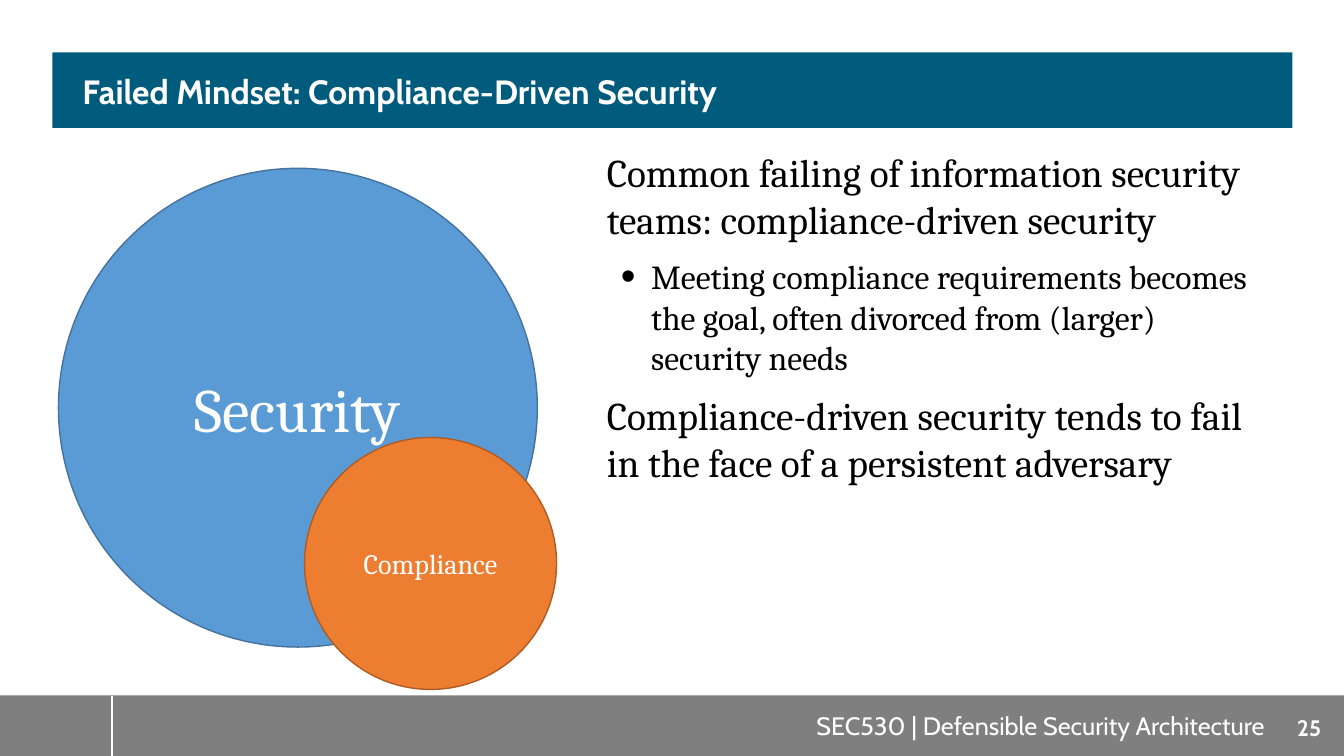
from dataclasses import dataclass

from lxml.etree import SubElement
from pptx import Presentation
from pptx.dml.color import RGBColor
from pptx.enum.shapes import MSO_CONNECTOR, MSO_SHAPE
from pptx.enum.text import MSO_ANCHOR, PP_ALIGN
from pptx.oxml.ns import qn
from pptx.util import Inches, Pt


@dataclass(frozen=True)
class Theme:
    heading_font: str = "Cabin"
    body_font: str = "Cambria"
    white: str = "FFFFFF"
    black: str = "000000"
    teal: str = "005B7D"
    grey: str = "7F7F7F"
    blue: str = "5B9BD5"
    blue_edge: str = "43739E"
    orange: str = "ED7D31"
    orange_edge: str = "AF5C24"
    title_size: int = 24
    statement_size: int = 28
    detail_size: int = 24
    security_size: int = 44
    compliance_size: int = 20
    course_size: int = 18
    number_size: int = 16


class SlideBuilder:
    """Places elements by percentages of the slide's width and height."""

    def __init__(self, deck, theme):
        self.theme = theme
        self.width, self.height = deck.slide_width, deck.slide_height
        self.slide = deck.slides.add_slide(deck.slide_layouts[6])

    def x(self, share):
        return round(self.width * share / 100)

    def y(self, share):
        return round(self.height * share / 100)

    def box(self, left, top, width, height):
        return self.x(left), self.y(top), self.x(width), self.y(height)

    def add_wording(self, paragraph, wording, size, font, color, bold=False):
        run = paragraph.add_run()
        run.text = wording
        run.font.name, run.font.size, run.font.bold = font, Pt(size), bold
        run.font.color.rgb = RGBColor.from_string(color)

    def paint(self, shape, fill):
        shape.shadow.inherit = False
        shape.fill.solid()
        shape.fill.fore_color.rgb = RGBColor.from_string(fill)

    def band(self, place, fill):
        band = self.slide.shapes.add_shape(MSO_SHAPE.RECTANGLE, *self.box(*place))
        self.paint(band, fill)
        band.line.fill.background()

    def divider(self, x, top, bottom):
        divider = self.slide.shapes.add_connector(
            MSO_CONNECTOR.STRAIGHT, self.x(x), self.y(top), self.x(x), self.y(bottom))
        divider.line.color.rgb = RGBColor.from_string(self.theme.white)
        divider.line.width = Pt(2)
        SubElement(divider.element.spPr, qn("a:effectLst"))

    def circle(self, left, top, diameter, fill, edge, wording, size):
        """Draw a labelled circle whose diameter is a share of the slide's height."""
        circle = self.slide.shapes.add_shape(
            MSO_SHAPE.OVAL, self.x(left), self.y(top), self.y(diameter), self.y(diameter))
        self.paint(circle, fill)
        circle.line.color.rgb = RGBColor.from_string(edge)
        circle.line.width = Pt(1)
        circle.text_frame.vertical_anchor = MSO_ANCHOR.MIDDLE
        label = circle.text_frame.paragraphs[0]
        label.alignment = PP_ALIGN.CENTER
        self.add_wording(label, wording, size, self.theme.body_font, self.theme.white)

    def text_frame(self, place, anchor=MSO_ANCHOR.TOP):
        frame = self.slide.shapes.add_textbox(*self.box(*place)).text_frame
        frame.word_wrap = True
        frame.vertical_anchor = anchor
        return frame

    def heading(self, place, wording, size, align=PP_ALIGN.LEFT,
                anchor=MSO_ANCHOR.MIDDLE, bold=True):
        frame = self.text_frame(place, anchor)
        line = frame.paragraphs[0]
        line.alignment = align
        self.add_wording(line, wording, size, self.theme.heading_font, self.theme.white, bold)
        return frame

    def title(self, place, wording):
        frame = self.heading(place, wording, self.theme.title_size)
        frame.margin_top, frame.margin_bottom = Inches(0.07), 0
        frame.paragraphs[0].line_spacing = 0.9

    def bullet(self, paragraph):
        paragraph.level = 1
        properties = paragraph._p.get_or_add_pPr()
        properties.set("marL", str(Inches(0.44)))
        properties.set("indent", str(Inches(-0.3)))
        SubElement(properties, qn("a:buSzPct"), val="125000")
        SubElement(properties, qn("a:buFont"), typeface="Arial")
        SubElement(properties, qn("a:buChar"), char="•")

    def body(self, place, points):
        """Add (wording, is_detail) points; details are bulleted."""
        theme = self.theme
        frame = self.text_frame(place)
        for index, (wording, is_detail) in enumerate(points):
            point = frame.add_paragraph() if index else frame.paragraphs[0]
            if is_detail:
                self.bullet(point)
            point.space_before = Pt(10 if index else 0)
            size = theme.detail_size if is_detail else theme.statement_size
            self.add_wording(point, wording, size, theme.body_font, theme.black)


def main():
    deck = Presentation()
    deck.slide_width, deck.slide_height = Inches(13.33), Inches(7.5)
    theme = Theme()
    page = SlideBuilder(deck, theme)

    page.band((0, 92, 100, 8), theme.grey)
    page.divider(8.33, 92, 100)
    page.heading((44.79, 93.33, 50.04, 5.33), "SEC530 | Defensible Security Architecture",
                 theme.course_size, PP_ALIGN.RIGHT, MSO_ANCHOR.TOP, bold=False)
    page.heading((94.82, 92.27, 5.18, 8), "25", theme.number_size, PP_ALIGN.CENTER)

    page.band((3.9, 6.93, 92.27, 10), theme.teal)
    page.title((5.4, 6.93, 89.27, 10), "Failed Mindset: Compliance-Driven Security")

    page.body((44.41, 18.93, 50.26, 71.07), [
        ("Common failing of information security teams: compliance-driven security", False),
        ("Meeting compliance requirements becomes the goal, "
         "often divorced from (larger) security needs", True),
        ("Compliance-driven security tends to fail in the face of a persistent adversary", False),
    ])

    page.circle(4.35, 22.27, 63.33, theme.blue, theme.blue_edge,
                "Security", theme.security_size)
    page.circle(22.66, 57.87, 33.33, theme.orange, theme.orange_edge,
                "Compliance", theme.compliance_size)

    deck.save("out.pptx")


if __name__ == "__main__":
    main()
